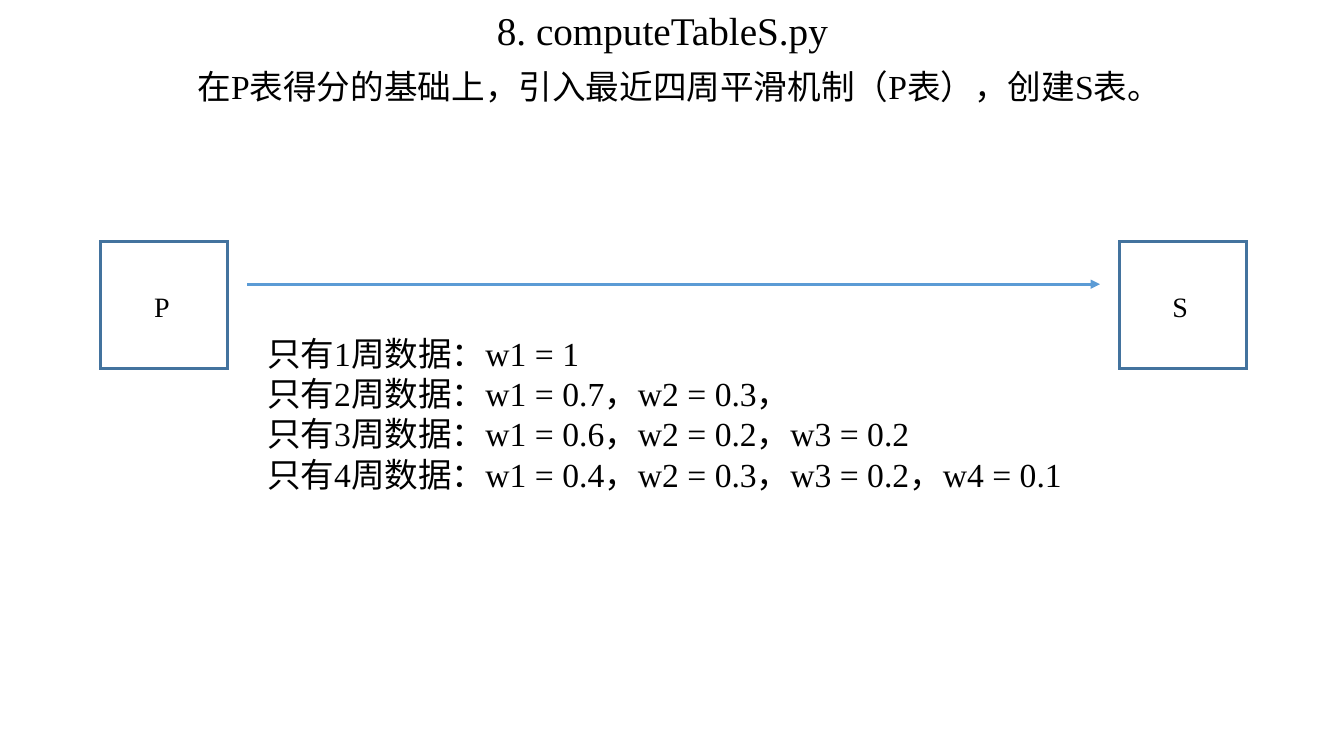
"""Build the slide that explains how table S is computed from table P."""
from dataclasses import dataclass

from pptx import Presentation
from pptx import util as u
from pptx.dml.color import RGBColor
from pptx.enum import shapes, text
from pptx.oxml import parse_xml
from pptx.oxml.ns import nsdecls

FONT = "Times New Roman"
BLACK, WHITE, BOX_LINE, ARROW = "000000", "FFFFFF", "43739E", "5B9BD5"
BOX_TOP, BOX_SIZE = 2.4, 1.26
COMMA, COLON, OPEN, CLOSE = "\uff0c", "\uff1a", "\uff08", "\uff09"
SUMMARY = (f"在P表得分的基础上{COMMA}引入最近四周平滑机制"
           f"{OPEN}P表{CLOSE}{COMMA}创建S表。")


@dataclass(frozen=True)
class TableBox:
    """A square that stands for one table."""
    name: str
    left: float


TABLES = [TableBox("P", 1), TableBox("S", 11.1)]
WEIGHTS = [["1"], ["0.7", "0.3"], ["0.6", "0.2", "0.2"], ["0.4", "0.3", "0.2", "0.1"]]


def color(value: str) -> RGBColor:
    """Return the colour for a hex string."""
    return RGBColor.from_string(value)


def add_text(parent, lines: list[str], left: float, top: float, width: float,
             height: float, *, size: float = 24) -> None:
    """Add a text box with one paragraph per line."""
    sp = parent.add_textbox(*map(u.Inches, (left, top, width, height)))
    tf = sp.text_frame
    tf.word_wrap = True
    tf.auto_size = text.MSO_AUTO_SIZE.SHAPE_TO_FIT_TEXT
    for i, line in enumerate(lines):
        p = tf.paragraphs[0] if i == 0 else tf.add_paragraph()
        r = p.add_run()
        r.text = line
        r.font.name = FONT
        r.font.size = u.Pt(size)
        r.font.color.rgb = color(BLACK)


def style_line(sp, line_color: str, *extras: str) -> None:
    """Give a shape a mitred line and any extra line elements."""
    sp.line.color.rgb = color(line_color)
    sp.line.width = u.Pt(2.25)
    ln = sp.line._get_or_add_ln()
    for extra in ('miter lim="800000"', *extras):
        ln.append(parse_xml(f'<a:{extra} {nsdecls("a")}/>'))


def add_table_box(s, box: TableBox) -> None:
    """Add a group of an outlined square and its table name."""
    group = s.shapes.add_group_shape().shapes
    sp = group.add_shape(shapes.MSO_SHAPE.RECTANGLE, *map(
        u.Inches, (box.left, BOX_TOP, BOX_SIZE, BOX_SIZE)))
    sp.shadow.inherit = False
    sp.fill.background()
    style_line(sp, BOX_LINE)
    add_text(group, [box.name], box.left + 0.43, BOX_TOP + 0.42, 0.7, 0.44, size=20)


def add_arrow(s, start: float, end: float, y: float) -> None:
    """Add a horizontal arrow."""
    sp = s.shapes.add_connector(
        shapes.MSO_CONNECTOR.STRAIGHT, *map(u.Inches, (start, y, end, y)))
    style_line(sp, ARROW, 'tailEnd type="triangle"')
    sp._element.spPr.append(parse_xml(f'<a:effectLst {nsdecls("a")}/>'))


def weight_line(weights: list[str]) -> str:
    """Describe the weights used for a given number of weeks."""
    terms = COMMA.join(f"w{i} = {w}" for i, w in enumerate(weights, 1))
    ending = COMMA if len(weights) == 2 else ""
    return f"只有{len(weights)}周数据{COLON}{terms}{ending}"


def main() -> None:
    """Build and save the slide."""
    prs = Presentation()
    prs.slide_width, prs.slide_height = u.Inches(13.33), u.Inches(7.5)
    s = prs.slides.add_slide(prs.slide_layouts[6])
    s.background.fill.solid()
    s.background.fill.fore_color.rgb = color(WHITE)
    add_text(s.shapes, ["8. computeTableS.py"], 4.83, 0.01, 3.83, 0.57, size=28)
    add_text(s.shapes, [SUMMARY], 1.86, 0.6, 9.48, 0.5)
    for box in TABLES:
        add_table_box(s, box)
    add_arrow(s, 2.45, 10.91, 2.82)
    add_text(s.shapes, [weight_line(w) for w in WEIGHTS], 2.55, 3.25, 8.21, 1.72)
    prs.save("out.pptx")


main()
